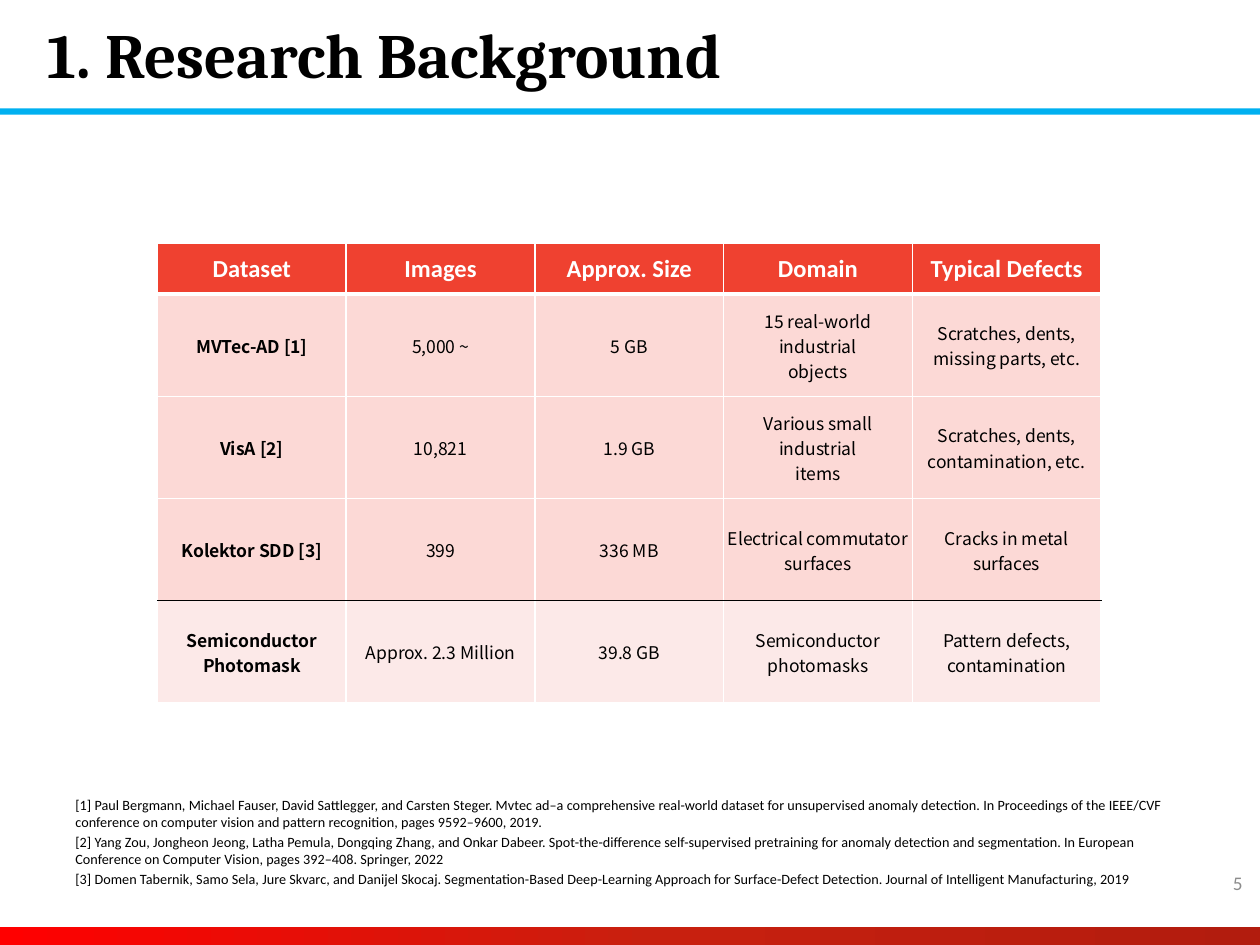
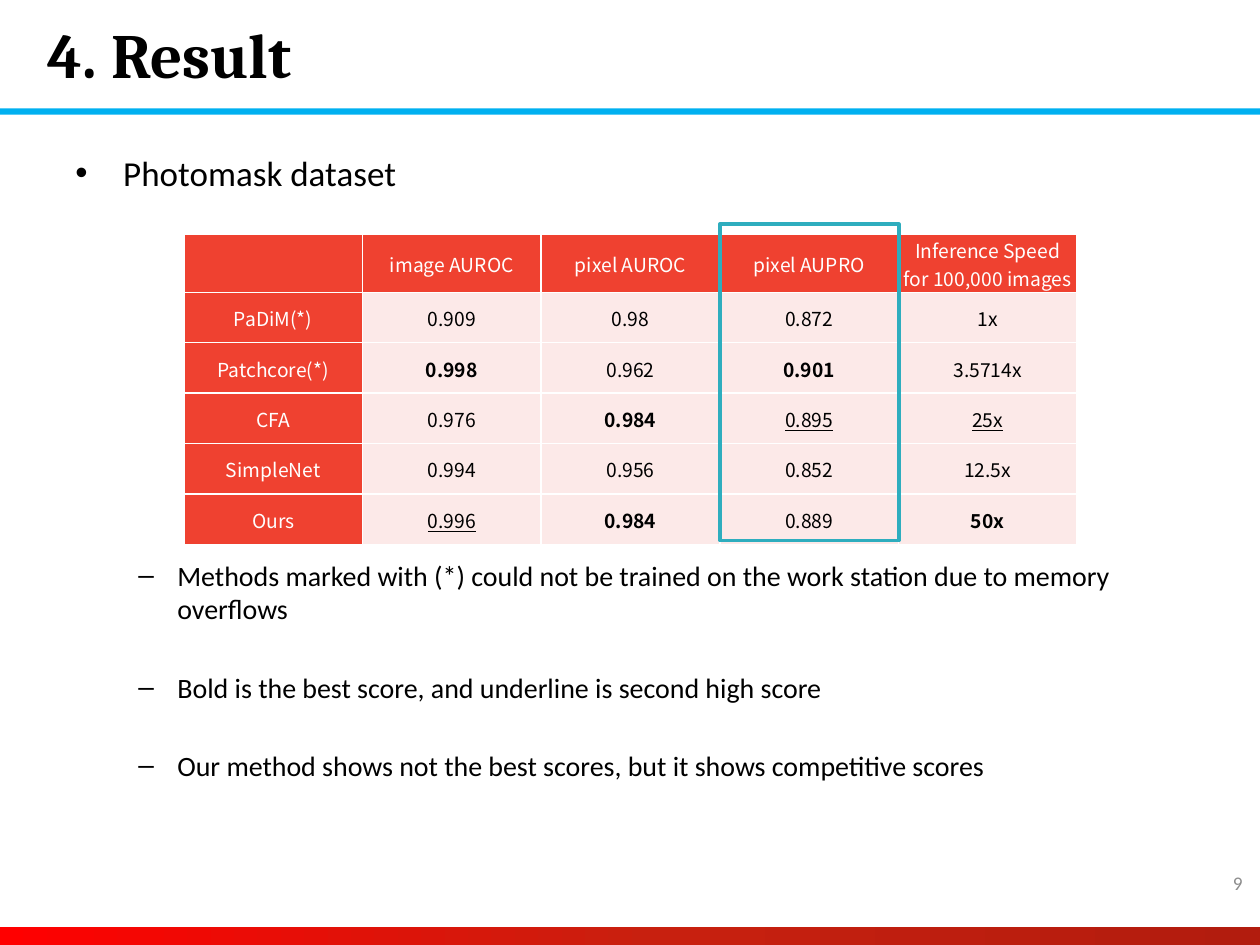
from lxml import etree
from pptx import Presentation, util as u
from pptx.dml.color import RGBColor
from pptx.enum import shapes, text
from pptx.oxml.ns import qn

COLORS = {
    "black": "000000", "white": "FFFFFF", "grey": "8C8C8C",
    "blue": "00B0F0", "teal": "2EADBE",
    "header": "EF4130", "rose": "FCD9D6", "pale": "FCE9E8",
    "red": "FF0000", "brick": "C8200F", "maroon": "B21C0E",
}
BODY_FONT, TITLE_FONT, TABLE_FONT = "Calibri", "Cambria", "Noto Sans CJK KR"

# The slide is a grid of 100 columns by 75 rows
SLIDE_WIDTH, SLIDE_HEIGHT = u.Inches(10), u.Inches(7.5)
COLUMN, ROW = SLIDE_WIDTH / 100, SLIDE_HEIGHT / 75

DATASETS = [
    ["Dataset", "Images", "Approx. Size", "Domain", "Typical Defects"],
    ["MVTec-AD [1]", "5,000 ~", "5 GB", "15 real-world industrial\nobjects",
     "Scratches, dents,\nmissing parts, etc."],
    ["VisA [2]", "10,821", "1.9 GB", "Various small industrial\nitems",
     "Scratches, dents,\ncontamination, etc."],
    ["Kolektor SDD [3]", "399", "336 MB", "Electrical commutator\nsurfaces",
     "Cracks in metal\nsurfaces"],
    ["Semiconductor\nPhotomask", "Approx. 2.3 Million", "39.8 GB",
     "Semiconductor\nphotomasks", "Pattern defects,\ncontamination"],
]
REFERENCES = [
    "[1] Paul Bergmann, Michael Fauser, David Sattlegger, and Carsten Steger. "
    "Mvtec ad–a comprehensive real-world dataset for unsupervised anomaly detection. "
    "In Proceedings of the IEEE/CVF conference on computer vision and pattern "
    "recognition, pages 9592–9600, 2019.",
    "[2] Yang Zou, Jongheon Jeong, Latha Pemula, Dongqing Zhang, and Onkar Dabeer. "
    "Spot-the-difference self-supervised pretraining for anomaly detection and "
    "segmentation. In European Conference on Computer Vision, pages 392–408. "
    "Springer, 2022",
    "[3] Domen Tabernik, Samo Sela, Jure Skvarc, and Danijel Skocaj. "
    "Segmentation-Based Deep-Learning Approach for Surface-Defect Detection. "
    "Journal of Intelligent Manufacturing, 2019",
]
SCORES = [
    ["", "image AUROC", "pixel AUROC", "pixel AUPRO",
     "Inference Speed\nfor 100,000 images"],
    ["PaDiM(*)", "0.909", "0.98", "0.872", "1x"],
    ["Patchcore(*)", "0.998", "0.962", "0.901", "3.5714x"],
    ["CFA", "0.976", "0.984", "0.895", "25x"],
    ["SimpleNet", "0.994", "0.956", "0.852", "12.5x"],
    ["Ours", "0.996", "0.984", "0.889", "50x"],
]
BEST = {(2, 1), (2, 3), (3, 2), (5, 2), (5, 4)}
SECOND = {(3, 3), (3, 4), (5, 1)}
REMARKS = [
    "Methods marked with (*) could not be trained on the work station due to "
    "memory overflows",
    "Bold is the best score, and underline is second high score",
    "Our method shows not the best scores, but it shows competitive scores",
]


def rgb(color):
    return RGBColor.from_string(COLORS[color])


def grid(left, top, width, height):
    """Turn grid columns and rows into slide lengths."""
    return (u.Emu(round(left * COLUMN)), u.Emu(round(top * ROW)),
            u.Emu(round(width * COLUMN)), u.Emu(round(height * ROW)))


def apply(target, values):
    for name, value in values.items():
        setattr(target, name, value)


def write(frame, lines, size, color="black", font=BODY_FONT, align=None,
          gap=0, bullet=None, **style):
    """Fill a text frame with one paragraph a line; bullet is (sign, left, hanging)."""
    for index, line in enumerate(lines):
        paragraph = frame.paragraphs[0] if index == 0 else frame.add_paragraph()
        if bullet:
            sign, left, hanging = bullet
            properties = paragraph._p.get_or_add_pPr()
            properties.set("marL", str(u.Inches(left)))
            properties.set("indent", str(-u.Inches(hanging)))
            etree.SubElement(properties, qn("a:buFont"), typeface="Arial")
            etree.SubElement(properties, qn("a:buChar"), char=sign)
        paragraph.alignment = align
        paragraph.space_before = u.Pt(gap if index else 0)
        run = paragraph.add_run()
        run.text = line
        apply(run.font, {"size": u.Pt(size), "name": font, **style})
        run.font.color.rgb = rgb(color)


def add_text(slide, box, lines, size, anchor=text.MSO_ANCHOR.TOP, **style):
    frame = slide.shapes.add_textbox(*grid(*box)).text_frame
    apply(frame, {"word_wrap": True, "vertical_anchor": anchor})
    write(frame, lines, size, **style)


def add_rectangle(slide, box, fill=None):
    shape = slide.shapes.add_shape(shapes.MSO_SHAPE.RECTANGLE, *grid(*box))
    shape.shadow.inherit = False
    if fill:
        shape.fill.solid()
        shape.fill.fore_color.rgb = rgb(fill)
        shape.line.fill.background()
    return shape


def add_gradient(shape, stops):
    """Give the shape a left-to-right gradient of (percent, color) stops."""
    shape.fill.gradient()
    gradient = shape.element.spPr.find(qn("a:gradFill"))
    stop_list = gradient.find(qn("a:gsLst"))
    for stop in list(stop_list):
        stop_list.remove(stop)
    for percent, color in stops:
        stop = etree.SubElement(stop_list, qn("a:gs"), pos=str(percent * 1000))
        etree.SubElement(stop, qn("a:srgbClr"), val=COLORS[color])
    shape.fill.gradient_angle = 0


def add_page(presentation, title, number):
    """Add a slide with the shared title, bands and page number."""
    slide = presentation.slides.add_slide(presentation.slide_layouts[5])
    footer = add_rectangle(slide, (0, 73.6, 100, 1.4), "red")
    add_gradient(footer, [(0, "red"), (52, "brick"), (100, "maroon")])
    add_rectangle(slide, (0, 8.6, 100, 0.5), "blue")

    heading = slide.shapes.title
    apply(heading, dict(zip(("left", "top", "width", "height"),
                            grid(2.8, 0, 90, 8.5))))
    apply(heading.text_frame, {"vertical_anchor": text.MSO_ANCHOR.MIDDLE,
                               "auto_size": text.MSO_AUTO_SIZE.NONE})
    write(heading.text_frame, [title], 36, font=TITLE_FONT, bold=True,
          align=text.PP_ALIGN.JUSTIFY)
    add_text(slide, (76.3, 68.7, 23.3, 2.7), [str(number)], 11, color="grey",
             anchor=text.MSO_ANCHOR.MIDDLE, align=text.PP_ALIGN.RIGHT)
    return slide


def set_borders(cell, **special):
    """Draw white hairlines, except sides given as side=(color, points)."""
    properties = cell._tc.get_or_add_tcPr()
    for side in "LRTB":
        color, points = special.get(side, ("white", 1))
        line = etree.SubElement(properties, qn(f"a:ln{side}"), w=str(u.Pt(points)))
        fill = etree.SubElement(line, qn("a:solidFill"))
        etree.SubElement(fill, qn("a:srgbClr"), val=COLORS[color])


def add_table(slide, left, top, width, heights, values, cell_format):
    """Add a table; cell_format(row, column) gives fill, borders and text style."""
    box = grid(left, top, width, sum(heights))
    table = slide.shapes.add_table(len(values), len(values[0]), *box).table
    apply(table, {"first_row": False, "horz_banding": False})
    for row, height in zip(table.rows, heights):
        row.height = u.Emu(round(height * ROW))
    for row, line in enumerate(values):
        for column, value in enumerate(line):
            cell = table.cell(row, column)
            fill, borders, style = cell_format(row, column)
            set_borders(cell, **borders)
            cell.fill.solid()
            cell.fill.fore_color.rgb = rgb(fill)
            cell.vertical_anchor = text.MSO_ANCHOR.MIDDLE
            if style["font"] == TABLE_FONT:
                apply(cell, {"margin_left": u.Inches(0.01), "margin_bottom": 0,
                             "margin_right": u.Inches(0.01),
                             "margin_top": u.Inches(0.01)})
            write(cell.text_frame, value.split("\n"),
                  align=text.PP_ALIGN.CENTER, **style)


def dataset_format(row, column):
    if row == 0:
        return "header", {"B": ("white", 3)}, {
            "size": 14, "font": BODY_FONT, "color": "white", "bold": True}
    # The last row, set off by a black rule, is the new dataset
    borders = {1: {"T": ("white", 3)}, 3: {"B": ("black", 1)},
               4: {"T": ("black", 1)}}.get(row, {})
    return "pale" if row == 4 else "rose", borders, {
        "size": 10, "font": TABLE_FONT, "bold": column == 0}


def score_format(row, column):
    is_header = row == 0 or column == 0
    return "header" if is_header else "pale", {}, {
        "size": 11, "font": TABLE_FONT,
        "color": "white" if is_header else "black",
        "bold": (row, column) in BEST, "underline": (row, column) in SECOND}


def add_background_slide(presentation):
    slide = add_page(presentation, "1. Research Background", 5)
    add_table(slide, 12.5, 19.3, 74.9, [4.05] + [8.11] * 4, DATASETS,
              dataset_format)
    add_text(slide, (5, 62.7, 90, 7.9), REFERENCES, 8.1, gap=1.6)


def add_result_slide(presentation):
    slide = add_page(presentation, "4. Result", 9)
    left, width = 14.6, 70.9
    # The header row holds two lines of text
    add_table(slide, left, 18.6, width, [4.6] + [4] * 5, SCORES, score_format)
    add_text(slide, (5, 43.8, 90, 23.2), REMARKS, 16, gap=25.6,
             bullet=("–", 0.81, 0.31))
    add_text(slide, (5, 11.5, 90, 7.1), ["Photomask dataset"], 20,
             bullet=("•", 0.38, 0.38))

    # Frame around the pixel AUPRO column
    column_width = width / 5
    frame = add_rectangle(slide, (left + 3 * column_width, 17.8, column_width, 25.1))
    frame.fill.background()
    frame.line.color.rgb = rgb("teal")
    frame.line.width = u.Pt(2.25)


def main():
    presentation = Presentation()
    apply(presentation, {"slide_width": SLIDE_WIDTH, "slide_height": SLIDE_HEIGHT})
    add_background_slide(presentation)
    add_result_slide(presentation)
    presentation.save("out.pptx")


if __name__ == "__main__":
    main()
